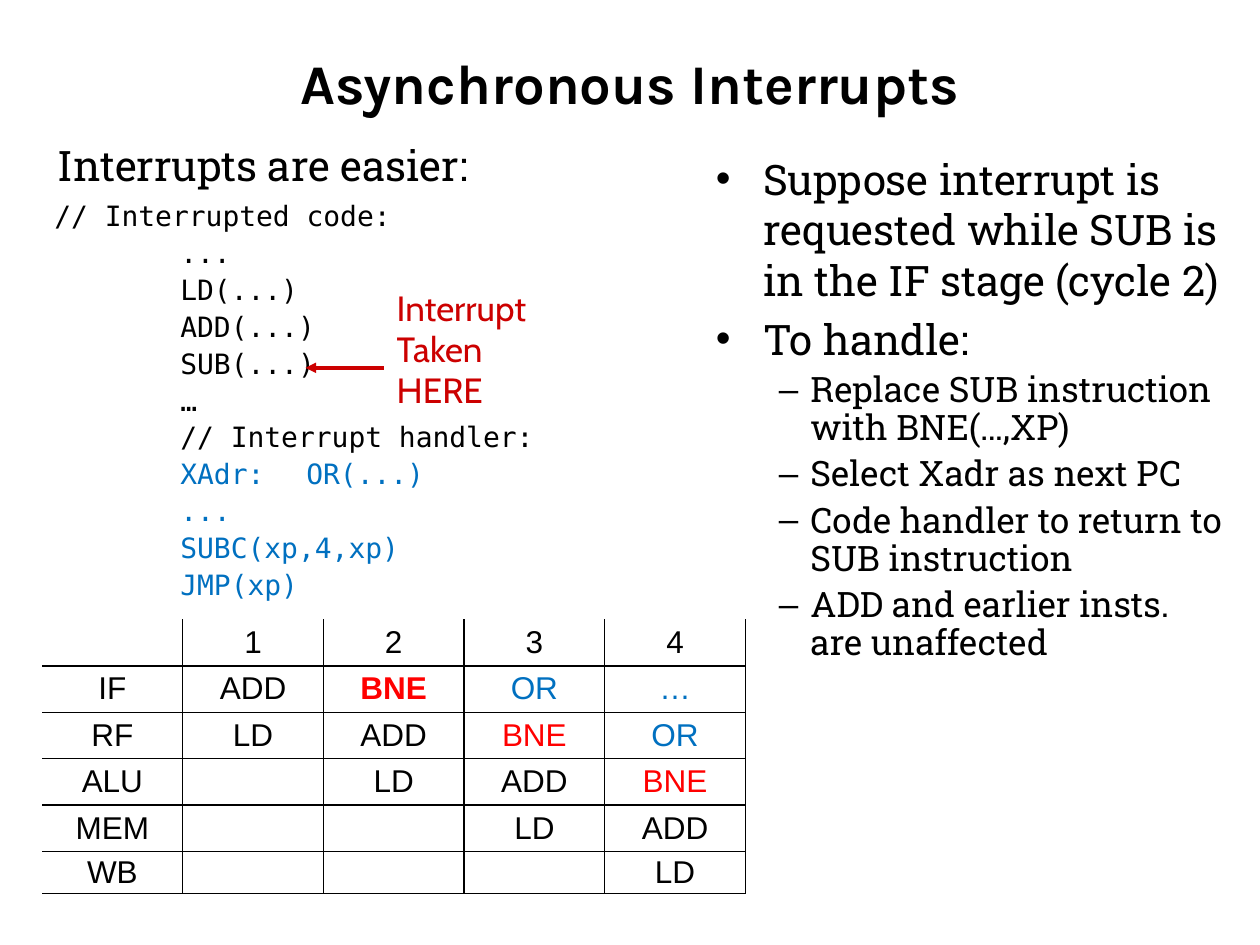
from lxml.etree import SubElement
from pptx import Presentation
from pptx.dml.color import RGBColor
from pptx.enum.shapes import MSO_CONNECTOR as Connector
from pptx.enum.text import MSO_ANCHOR as Anchor, PP_ALIGN as Align
from pptx.oxml.ns import qn
from pptx.util import Inches, Pt

COLUMNS, ROWS = 120, 90
UNIT = Inches(10) / COLUMNS
BLACK, BLUE, RED, DARK_RED = "000000", "0070C0", "FF0000", "CC0000"
SERIF, MONO = "Roboto Slab", "DejaVu Sans Mono"

CODE = [
    ("// Interrupted code:", BLACK), ("...", BLACK), ("LD(...)", BLACK),
    ("ADD(...)", BLACK), ("SUB(...)", BLACK), ("…", BLACK),
    ("// Interrupt handler:", BLACK), ("XAdr:\tOR(...)", BLUE),
    ("...", BLUE), ("SUBC(xp,4,xp)", BLUE), ("JMP(xp)", BLUE),
]
POINTS = [
    (0, "Suppose interrupt is requested while SUB is in the IF stage (cycle 2)"),
    (0, "To handle:"),
    (1, "Replace SUB instruction with BNE(…,XP)"),
    (1, "Select Xadr as next PC"),
    (1, "Code handler to return to SUB instruction"),
    (1, "ADD and earlier insts. are unaffected"),
]
PIPELINE = [
    ["", "1", "2", "3", "4"],
    ["IF", "ADD", "BNE", "OR", "…"],
    ["RF", "LD", "ADD", "BNE", "OR"],
    ["ALU", "", "LD", "ADD", "BNE"],
    ["MEM", "", "", "LD", "ADD"],
    ["WB", "", "", "", "LD"],
]
INSTRUCTION_COLORS = {"BNE": RED, "OR": BLUE, "…": BLUE}


def grid(*counts):
    """Turn counts of grid units into lengths."""
    return [round(count * UNIT) for count in counts]


def color(value):
    """Turn a hex string into a colour."""
    return RGBColor.from_string(value)


def add_frame(page, box, wrap=True):
    """Add an empty text box and return its text frame."""
    frame = page.shapes.add_textbox(*grid(*box)).text_frame
    frame.word_wrap = wrap
    return frame


def next_para(frame, index, before=0, spacing=1.0):
    """Return the paragraph at an index, spaced from the one above it."""
    para = frame.add_paragraph() if index else frame.paragraphs[0]
    para.space_before = Pt(before if index else 0)
    para.line_spacing = spacing
    return para


def add_span(para, text, size, face, ink=BLACK, bold=False):
    """Add one styled run."""
    span = para.add_run()
    span.text = text
    span.font.size, span.font.name, span.font.bold = Pt(size), face, bold
    span.font.color.rgb = color(ink)


def set_indent(para, margin, hang=0):
    """Set the left margin and the first-line indent in grid units."""
    props = para._p.get_or_add_pPr()
    for name, length in zip(("marL", "indent"), grid(margin, hang)):
        props.set(name, str(length))
    return props


def add_title(page, box):
    """Place the slide title."""
    frame = add_frame(page, box)
    frame.vertical_anchor = Anchor.MIDDLE
    para = next_para(frame, 0)
    para.alignment = Align.CENTER
    add_span(para, "Asynchronous Interrupts", 32, "Karla", bold=True)


def add_listing(page, box):
    """Place the code lines, indented below the first."""
    frame = add_frame(page, box)
    for index, (line, ink) in enumerate(CODE):
        para = next_para(frame, index, spacing=1.1)
        props = set_indent(para, 12 if index else 0)
        tabs = SubElement(props, qn("a:tabLst"))
        for stop in grid(12, 24):
            SubElement(tabs, qn("a:tab"), pos=str(stop), algn="l")
        add_span(para, line, 16, MONO, ink)


def add_callout(page, box):
    """Place the stacked callout words and the arrow to their left."""
    left, top, width, height = box
    frame = add_frame(page, box, wrap=False)
    for index, word in enumerate(["Interrupt", "Taken", "HERE"]):
        para = next_para(frame, index, 2, 0.9)
        set_indent(para, 3, -3)
        add_span(para, word, 20, "Cabin", DARK_RED)
    level = top + 0.62 * height
    arrow = page.shapes.add_connector(
        Connector.STRAIGHT, *grid(left - 7.5, level, left, level))
    arrow.line.color.rgb = color(DARK_RED)
    arrow.line.width = Pt(2)
    SubElement(arrow.line._get_or_add_ln(), qn("a:headEnd"), type="triangle")
    SubElement(arrow._element.spPr, qn("a:effectLst"))


def add_example(page, box):
    """Place the heading, the code and the callout."""
    left, top, width, height = box
    heading = add_frame(page, (left + 0.3, top, 44, 6), wrap=False)
    add_span(next_para(heading, 0), "Interrupts are easier:", 24, SERIF)
    add_listing(page, (left, top + 5.3, width, height - 5.3))
    add_callout(page, (left + 32.6, top + 14.4, 14.8, 12.8))


def add_points(page, box):
    """Place the two-level bullet list."""
    levels = [("•", 24, 4.5, -4.5, 1.0), ("–", 20, 9, -3, 0.9)]
    frame = add_frame(page, box)
    for index, (level, text) in enumerate(POINTS):
        mark, size, margin, hang, spacing = levels[level]
        para = next_para(frame, index, 5, spacing)
        para.level = level
        props = set_indent(para, margin, hang)
        SubElement(props, qn("a:buFont"), typeface="Arial")
        SubElement(props, qn("a:buChar"), char=mark)
        add_span(para, text, size, SERIF)


def add_border(cell, side, visible):
    """Draw or hide one cell border."""
    line = SubElement(cell._tc.get_or_add_tcPr(), qn(f"a:ln{side}"), w=str(Pt(1)))
    if visible:
        fill = SubElement(line, qn("a:solidFill"))
        SubElement(fill, qn("a:srgbClr"), val=BLACK)
    else:
        SubElement(line, qn("a:noFill"))


def fill_cell(cell, text, row, column):
    """Style and fill one pipeline cell."""
    cell.margin_top = cell.margin_bottom = 0
    cell.vertical_anchor = Anchor.MIDDLE
    for side, visible in zip("LRTB", (column > 0, True, row > 0, True)):
        add_border(cell, side, visible)
    cell.fill.background()
    para = cell.text_frame.paragraphs[0]
    para.alignment = Align.CENTER
    if text:
        first_fetch = text == "BNE" and row == 1
        ink = INSTRUCTION_COLORS.get(text, BLACK)
        add_span(para, text, 18, "Arial", ink, first_fetch)


def add_pipeline(page, box):
    """Place the pipeline table."""
    count, width = len(PIPELINE), len(PIPELINE[0])
    table = page.shapes.add_table(count, width, *grid(*box)).table
    table.first_row = table.horz_banding = False
    for column in table.columns:
        column.width = grid(box[2] / width)[0]
    for index, row in enumerate(table.rows):
        row.height = grid(4 if index == count - 1 else (box[3] - 4) / (count - 1))[0]
    for row, texts in enumerate(PIPELINE):
        for column, text in enumerate(texts):
            fill_cell(table.cell(row, column), text, row, column)


def main():
    """Build and save the slide."""
    deck = Presentation()
    deck.slide_width, deck.slide_height = grid(COLUMNS, ROWS)
    page = deck.slides.add_slide(deck.slide_layouts[6])
    add_title(page, (6, 3.6, 108, 8.4))
    add_points(page, (67, 14, 51, 66.4))
    add_example(page, (4, 12.7, 56, 45.5))
    add_pipeline(page, (4, 59, 67, 26.1))
    deck.save("out.pptx")


if __name__ == "__main__":
    main()
